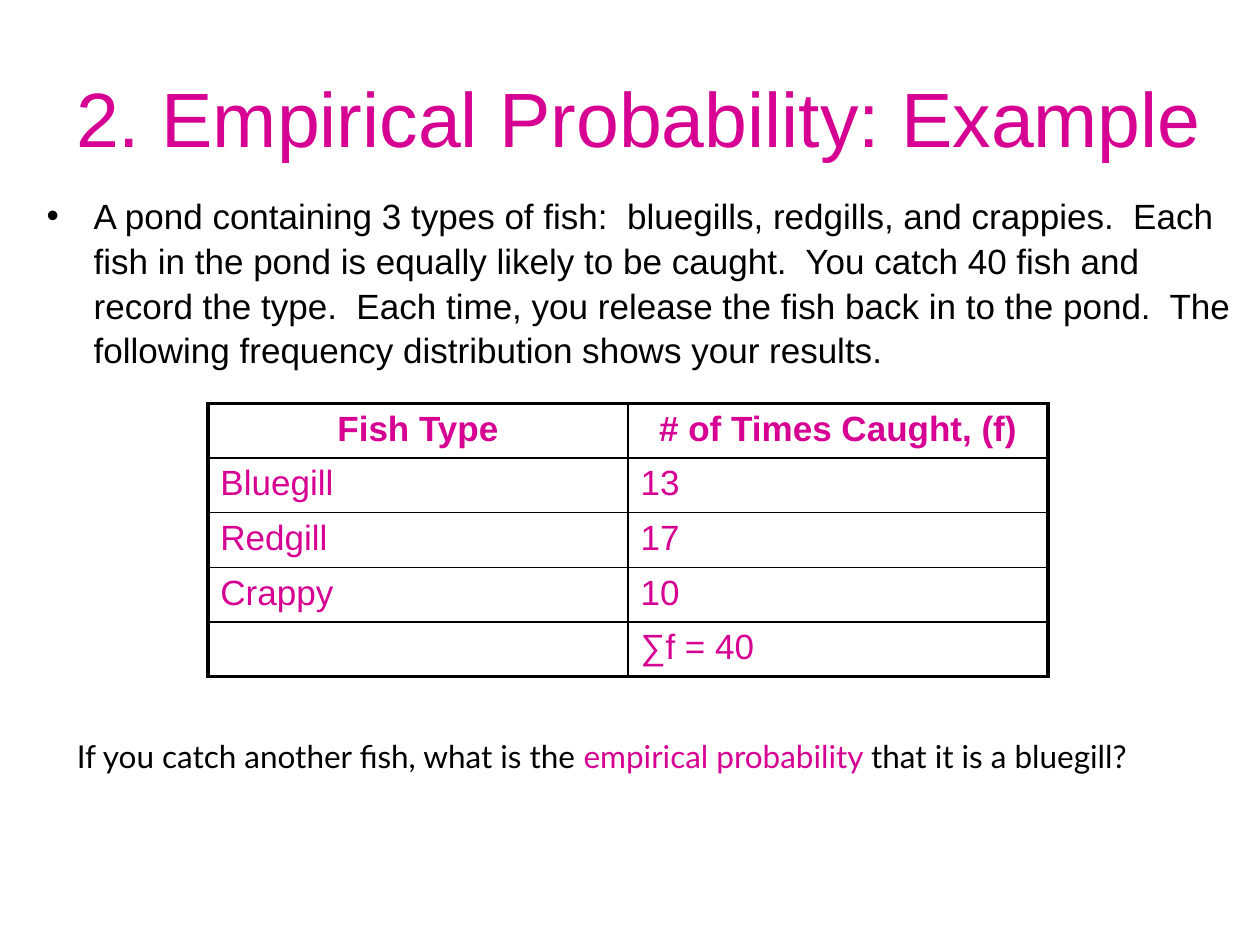
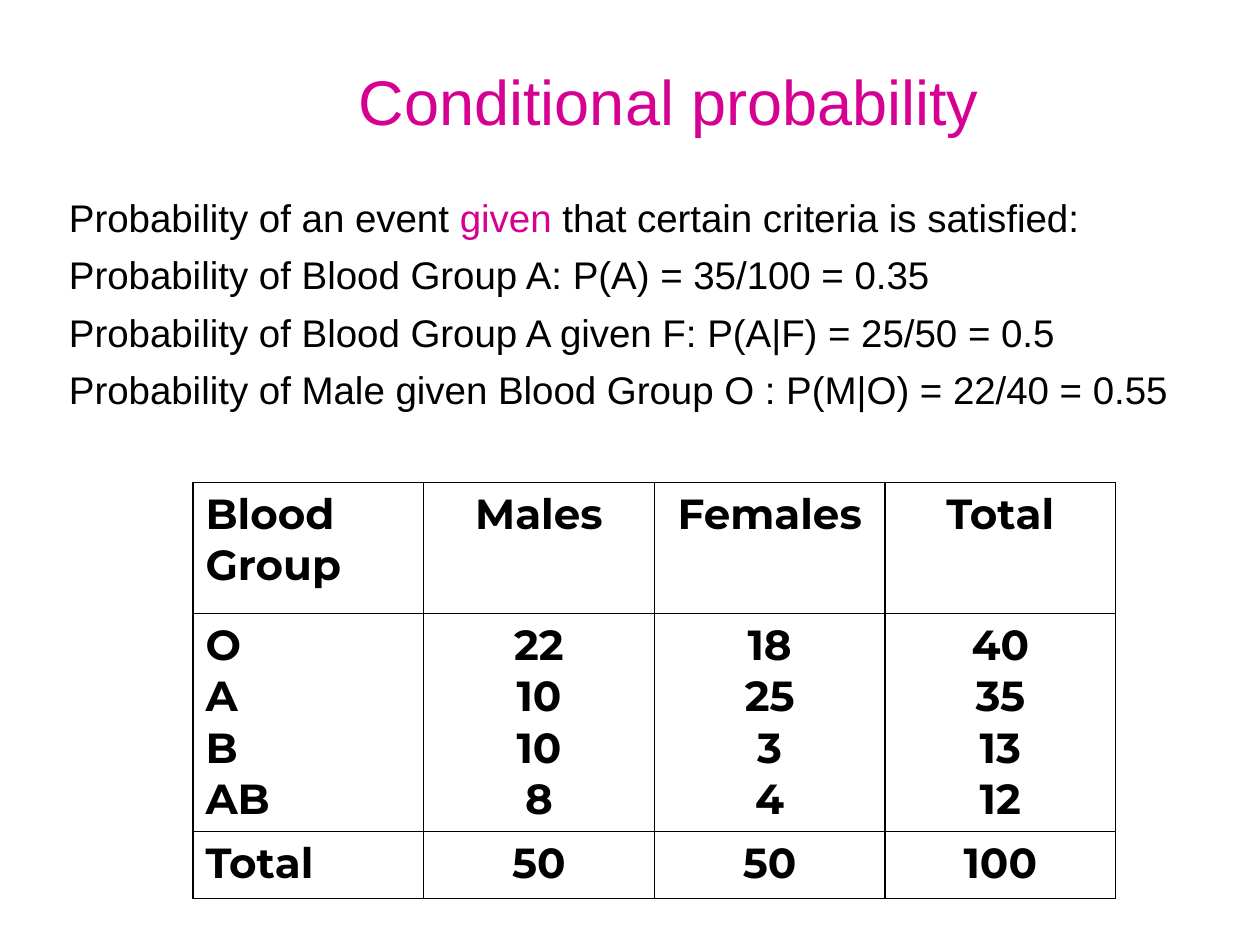
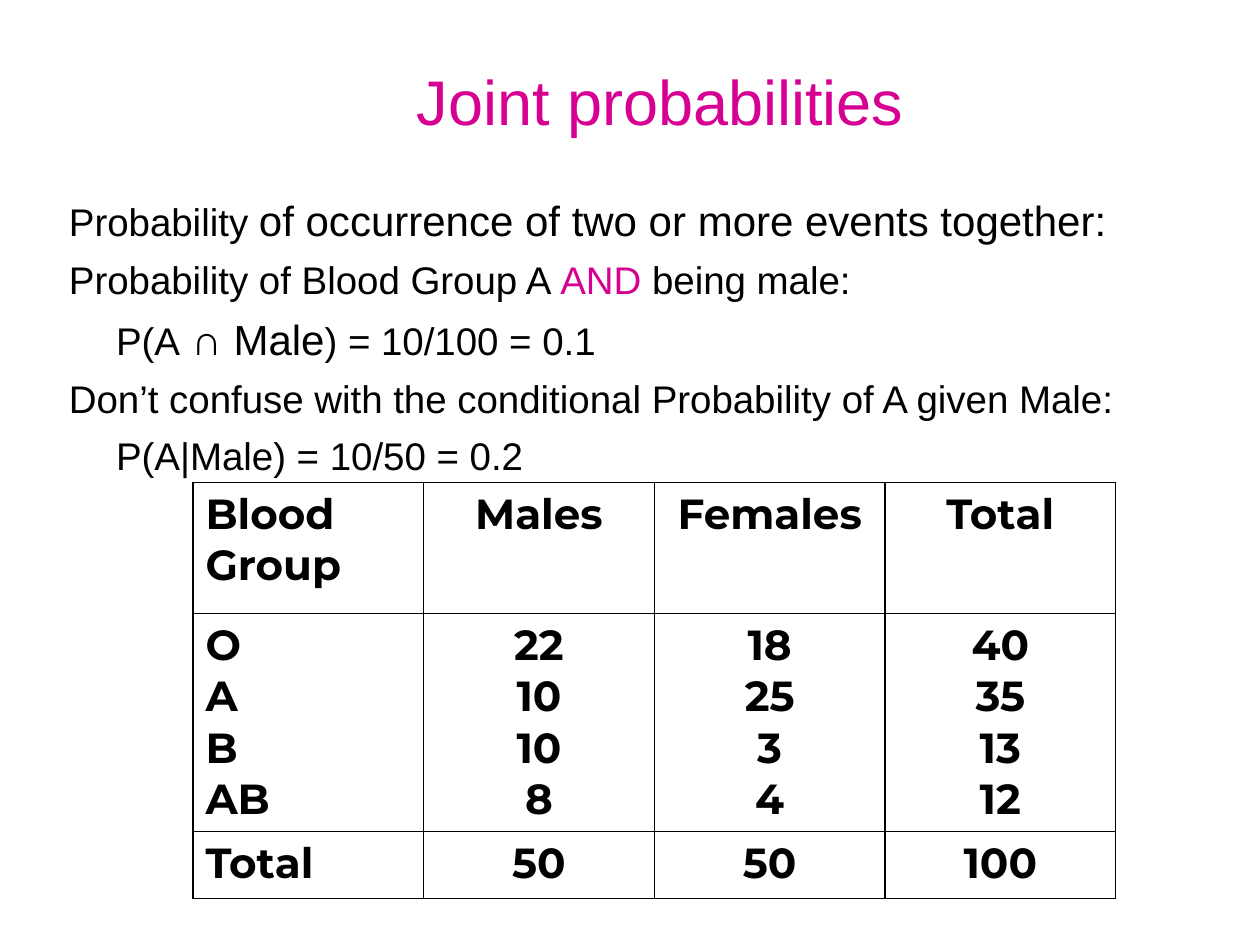
"""Build three slides on empirical, conditional and joint probability."""
from dataclasses import dataclass

import lxml.etree
import pptx
import pptx.dml.color
import pptx.enum.text
import pptx.oxml.ns
import pptx.util

Cm = pptx.util.Cm
Pt = pptx.util.Pt
ALIGN = pptx.enum.text.PP_ALIGN
qn = pptx.oxml.ns.qn


@dataclass(frozen=True)
class Theme:
    """Colours, fonts and type sizes shared by the slides."""
    ink: str = "000000"
    accent: str = "D60093"
    main_font: str = "Arial"
    question_font: str = "Lato"
    table_font: str = "Montserrat"
    example_title: int = 44
    title: int = 36
    large: int = 24
    body: int = 22
    example: int = 20
    question: int = 18
    thin: float = 1
    thick: float = 2.25
    hanging: float = 0.95
    body_spacing: float = 1.07


THEME = Theme()
BLOOD_GROUPS = [
    ["Blood Group", "Males", "Females", "Total"],
    ["O\nA\nB\nAB", "22\n10\n10\n8", "18\n25\n3\n4", "40\n35\n13\n12"],
    ["Total", "50", "50", "100"],
]
FISH_CAUGHT = [
    ["Fish Type", "# of Times Caught, (f)"],
    ["Bluegill", "13"],
    ["Redgill", "17"],
    ["Crappy", "10"],
    ["", "∑f = 40"],
]


def style(font, size, color=THEME.ink, name=THEME.main_font, bold=False):
    """Give a font its face, size, weight and colour."""
    font.name = name
    font.size = Pt(size)
    font.bold = bold
    font.color.rgb = pptx.dml.color.RGBColor.from_string(color)


def add_frame(slide, left, top, width, height):
    """Add a wrapping text box and return its text frame."""
    frame = slide.shapes.add_textbox(Cm(left), Cm(top), Cm(width), Cm(height)).text_frame
    frame.word_wrap = True
    return frame


def add_title(slide, text, size, box, bottom_inset=0.13):
    """Add a centred accent title."""
    frame = add_frame(slide, *box)
    frame.vertical_anchor = pptx.enum.text.MSO_ANCHOR.MIDDLE
    frame.margin_bottom = Cm(bottom_inset)
    heading = frame.paragraphs[0]
    heading.text = text
    heading.alignment = ALIGN.CENTER
    style(heading.font, size)
    heading.font.color.rgb = pptx.dml.color.RGBColor.from_string(THEME.accent)


def add_runs(paragraph, pieces, size, name=THEME.main_font):
    """Fill a paragraph with plain, accented (str) or resized (int) pieces."""
    style(paragraph.font, size, name=name)
    for text, change in pieces:
        run = paragraph.add_run()
        run.text = text
        if isinstance(change, int):
            run.font.size = Pt(change)
        elif change:
            run.font.color.rgb = pptx.dml.color.RGBColor.from_string(change)


def set_indent(paragraph, first_line, bullet=None):
    """Indent a paragraph, with a bullet if one is given."""
    properties = paragraph._p.get_or_add_pPr()
    properties.set("marL", str(Cm(THEME.hanging)))
    properties.set("indent", str(Cm(first_line)))
    if bullet:
        lxml.etree.SubElement(properties, qn("a:buFont"), typeface=THEME.main_font)
        lxml.etree.SubElement(properties, qn("a:buChar"), char=bullet)


def add_statements(slide, statements):
    """Add body lines, each a pair of pieces and whether it is indented."""
    frame = add_frame(slide, 1.14, 3.73, 24.21, 5.79)
    for index, (pieces, indented) in enumerate(statements):
        line = frame.add_paragraph() if index else frame.paragraphs[0]
        set_indent(line, 0 if indented else -THEME.hanging)
        line.alignment = ALIGN.JUSTIFY
        line.line_spacing = THEME.body_spacing
        if index:
            line.space_before = Pt(THEME.body * 0.2)
        add_runs(line, pieces, THEME.body)


def set_borders(cell, widths):
    """Draw the left, right, top and bottom borders of a cell."""
    properties = cell._tc.get_or_add_tcPr()
    for side, width in zip("LRTB", widths):
        border = lxml.etree.SubElement(properties, qn(f"a:ln{side}"), w=str(Pt(width)))
        fill = lxml.etree.SubElement(border, qn("a:solidFill"))
        lxml.etree.SubElement(fill, qn("a:srgbClr"), val=THEME.ink)


def add_grid(slide, rows, corner, column_width, row_heights, outer, size, color, name,
             bold, centred):
    """Add a ruled table; bold and centred are tests on row and column."""
    row_count, column_count = len(rows), len(rows[0])
    table = slide.shapes.add_table(
        row_count, column_count, Cm(corner[0]), Cm(corner[1]),
        Cm(column_width * column_count), Cm(sum(row_heights))).table
    table.first_row = table.horz_banding = False
    for column in table.columns:
        column.width = Cm(column_width)
    for r, values in enumerate(rows):
        table.rows[r].height = Cm(row_heights[r])
        for c, value in enumerate(values):
            cell = table.cell(r, c)
            on_edge = (c == 0, c == column_count - 1, r == 0, r == row_count - 1)
            set_borders(cell, [outer if edge else THEME.thin for edge in on_edge])
            cell.fill.background()
            cell.text = value
            for entry in cell.text_frame.paragraphs:
                entry.alignment = ALIGN.CENTER if centred(r, c) else ALIGN.LEFT
                style(entry.font, size, color, name, bold(r, c))


def add_blood_group_slide(slide, title, statements):
    """Lay out a title, statements and the blood group table."""
    add_title(slide, title, THEME.title, (2.69, 0.53, 21.59, 4.06), bottom_inset=1.19)
    add_statements(slide, statements)
    add_grid(slide, BLOOD_GROUPS, (3.89, 9.73), 4.65, [2.64, 4.39, 1.35], THEME.thin,
             THEME.large, THEME.ink, THEME.table_font,
             bold=lambda r, c: True, centred=lambda r, c: c > 0)


def add_fish_slide(slide):
    """Lay out the empirical probability example."""
    add_title(slide, "2. Empirical Probability: Example", THEME.example_title,
              (0.89, 0.76, 24, 3.18))
    pond = add_frame(slide, 0.69, 3.73, 24.41, 5.59).paragraphs[0]
    set_indent(pond, -THEME.hanging, "•")
    pond.line_spacing = THEME.body_spacing
    add_runs(pond, [(
        "A pond containing 3 types of fish:  bluegills, redgills, and crappies.  "
        "Each fish in the pond is equally likely to be caught.  You catch 40 fish "
        "and record the type.  Each time, you release the fish back in to the pond.  "
        "The following frequency distribution shows your results.", None)], THEME.example)
    add_grid(slide, FISH_CAUGHT, (4.19, 8.13), 8.47, [1.04] * 5, THEME.thick,
             THEME.example, THEME.accent, THEME.main_font,
             bold=lambda r, c: r == 0, centred=lambda r, c: r == 0)
    question = add_frame(slide, 1.3, 14.73, 22.99, 1.02).paragraphs[0]
    add_runs(question, [("If you catch another fish, what is the ", None),
                        ("empirical probability ", THEME.accent),
                        ("that it is a bluegill?", None)],
             THEME.question, THEME.question_font)


def main():
    """Build and save the presentation."""
    deck = pptx.Presentation()
    deck.slide_width, deck.slide_height = Cm(25.4), Cm(19.05)
    blank = deck.slide_layouts[6]
    add_fish_slide(deck.slides.add_slide(blank))
    add_blood_group_slide(deck.slides.add_slide(blank), "Conditional probability", [
        ([("Probability of an event ", None), ("given", THEME.accent),
          (" that certain criteria is satisfied:", None)], False),
        ([("Probability of Blood Group A: P(A) = 35/100 = 0.35", None)], False),
        ([("Probability of Blood Group A given F: P(A|F) = 25/50 = 0.5", None)], False),
        ([("Probability of Male given Blood Group O : P(M|O) = 22/40 = 0.55", None)], False),
    ])
    add_blood_group_slide(deck.slides.add_slide(blank), "Joint probabilities ", [
        ([("Probability ", None),
          ("of occurrence of two or more events together:", THEME.large)], False),
        ([("Probability of Blood Group A ", None), ("AND", THEME.accent),
          (" being male:", None)], False),
        ([("P(A", None), (" ∩ Male", THEME.large), (") = 10/100 = 0.1", None)], True),
        ([("Don’t confuse with the conditional Probability of A given Male:", None)], False),
        ([("P(A|Male) = 10/50 = 0.2", None)], True),
    ])
    deck.save("out.pptx")


if __name__ == "__main__":
    main()
